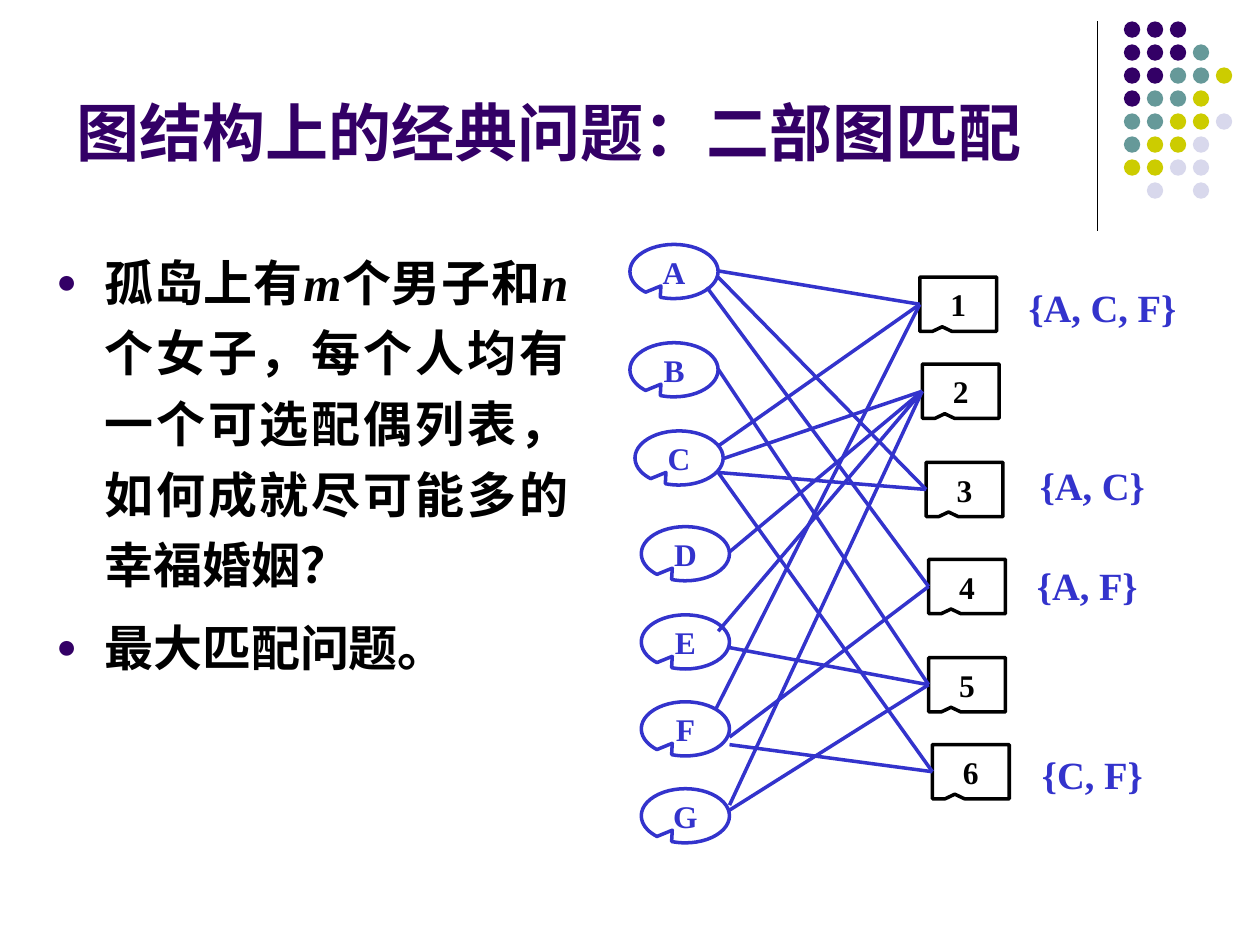
import pptx
import pptx.dml.color
import pptx.enum.shapes
import pptx.enum.text
import pptx.oxml.ns
import pptx.util
from lxml import etree
from pptx.util import Inches

PURPLE = pptx.dml.color.RGBColor(0x33, 0x00, 0x66)
TEAL = pptx.dml.color.RGBColor(0x66, 0x99, 0x99)
LIME = pptx.dml.color.RGBColor(0xCC, 0xCC, 0x00)
LAVENDER = pptx.dml.color.RGBColor(0xD8, 0xD8, 0xEC)
BLUE = pptx.dml.color.RGBColor(0x33, 0x33, 0xCC)
BLACK = pptx.dml.color.RGBColor(0x00, 0x00, 0x00)
WHITE = pptx.dml.color.RGBColor(0xFF, 0xFF, 0xFF)

SHAPES = pptx.enum.shapes.MSO_SHAPE
ALIGN = pptx.enum.text.PP_ALIGN
ANCHOR = pptx.enum.text.MSO_ANCHOR
FONT = "Times New Roman"

DOT_COLORS = {"P": PURPLE, "T": TEAL, "L": LIME, "V": LAVENDER}
DOT_ROWS = ["PPP", "PPPT", "PPTTL", "PTTL", "TTLLV", "TLLV", "LLVV", " V V"]
DOT_SIZE = 0.13
DOT_PITCH = 0.73 / 4

MEN = {
    "A": (5, 1.94), "B": (5, 2.72), "C": (5.04, 3.42), "D": (5.09, 4.18),
    "E": (5.09, 4.88), "F": (5.09, 5.57), "G": (5.09, 6.26),
}
WOMEN = {
    "1": (7.3, 2.2), "2": (7.32, 2.89), "3": (7.35, 3.67),
    "4": (7.37, 4.44), "5": (7.37, 5.22), "6": (7.4, 5.91),
}
NODE_HEIGHT = 0.43
EDGE_STARTS = {
    "1": [(5.7, 2.15), (5.7, 3.54), (5.68, 5.63)],
    "2": [(5.74, 3.64), (5.79, 4.38), (5.7, 5.01), (5.79, 6.39)],
    "3": [(5.7, 2.2), (5.7, 3.75)],
    "4": [(5.61, 2.28), (5.79, 5.85)],
    "5": [(5.7, 2.93), (5.79, 5.14), (5.79, 6.43)],
    "6": [(5.7, 3.75), (5.79, 5.91)],
}
CHOICES = [
    ("{A, C, F}", 2.18, 1.5), ("{A, C}", 3.59, 1.34),
    ("{A, F}", 4.38, 1.26), ("{C, F}", 5.88, 1.34),
]
BODY = [
    [("孤岛上有", False), ("m", True), ("个男子和", False), ("n", True),
     ("个女子，每个人均有一个可选配偶列表，如何成就尽可能多的幸福婚姻？", False)],
    [("最大匹配问题。", False)],
]


def style_font(font, size, color):
    """Apply the bold slide font with a size and colour."""
    font.name = FONT
    font.size = pptx.util.Pt(size)
    font.bold = True
    font.color.rgb = color


def add_shape(slide, kind, box, fill=None, line=None):
    """Add a flat preset shape with optional fill and outline."""
    shape = slide.shapes.add_shape(kind, *map(Inches, box))
    shape.shadow.inherit = False
    if fill is None:
        shape.fill.background()
    else:
        shape.fill.solid()
        shape.fill.fore_color.rgb = fill
    if line is None:
        shape.line.fill.background()
    else:
        shape.line.color.rgb = line
        shape.line.width = pptx.util.Pt(2)
    return shape


def add_callout(slide, kind, box, tail, text, size, color, fill=None, line=None):
    """Add a callout with centred text and a tail offset."""
    shape = add_shape(slide, kind, box, fill, line)
    shape.adjustments[0], shape.adjustments[1] = tail
    frame = shape.text_frame
    frame.word_wrap = True
    frame.vertical_anchor = ANCHOR.MIDDLE
    paragraph = frame.paragraphs[0]
    paragraph.text = text
    paragraph.alignment = ALIGN.CENTER
    style_font(paragraph.font, size, color)


def add_line(slide, start, end, color, width):
    """Add a straight connector without a shadow."""
    line = slide.shapes.add_connector(
        pptx.enum.shapes.MSO_CONNECTOR.STRAIGHT, *map(Inches, (*start, *end)))
    line.line.color.rgb = color
    line.line.width = pptx.util.Pt(width)
    etree.SubElement(line._element.spPr, pptx.oxml.ns.qn("a:effectLst"))


def add_dots(slide):
    """Add the corner pattern of coloured dots."""
    for row, codes in enumerate(DOT_ROWS):
        for column, code in enumerate(codes):
            if code in DOT_COLORS:
                box = (8.92 + column * DOT_PITCH, 0.17 + row * DOT_PITCH,
                       DOT_SIZE, DOT_SIZE)
                add_shape(slide, SHAPES.OVAL, box, DOT_COLORS[code])


def add_text_box(slide, box, anchor):
    """Add a wrapping text box and return its text frame."""
    frame = slide.shapes.add_textbox(*map(Inches, box)).text_frame
    frame.word_wrap = True
    frame.vertical_anchor = anchor
    return frame


def add_title(slide):
    """Add the slide title."""
    frame = add_text_box(slide, (0.51, 0.44, 8.25, 0.95), ANCHOR.BOTTOM)
    paragraph = frame.paragraphs[0]
    paragraph.text = "图结构上的经典问题：二部图匹配"
    style_font(paragraph.font, 36, PURPLE)


def add_bullet(paragraph):
    """Give a paragraph a hanging round bullet."""
    qn = pptx.oxml.ns.qn
    properties = paragraph._p.get_or_add_pPr()
    properties.set("marL", str(Inches(0.38)))
    properties.set("indent", str(Inches(-0.38)))
    color = etree.SubElement(properties, qn("a:buClr"))
    etree.SubElement(color, qn("a:srgbClr"), val=str(PURPLE))
    etree.SubElement(properties, qn("a:buSzPct"), val="70000")
    etree.SubElement(properties, qn("a:buFont"), typeface=FONT)
    etree.SubElement(properties, qn("a:buChar"), char="●")


def add_body(slide):
    """Add the bulleted problem statement."""
    frame = add_text_box(slide, (0.35, 1.86, 4.26, 3.92), ANCHOR.TOP)
    for index, runs in enumerate(BODY):
        paragraph = frame.add_paragraph() if index else frame.paragraphs[0]
        paragraph.alignment = ALIGN.JUSTIFY
        paragraph.line_spacing = 1.2
        paragraph.space_before = pptx.util.Pt(7)
        add_bullet(paragraph)
        style_font(paragraph.font, 28, BLACK)
        for text, italic in runs:
            run = paragraph.add_run()
            run.text = text
            run.font.italic = italic


def add_graph(slide):
    """Add the bipartite graph with its nodes, edges and choice lists."""
    for name, corner in MEN.items():
        add_callout(slide, SHAPES.OVAL_CALLOUT, (*corner, 0.7, NODE_HEIGHT),
                    (-0.149, 0.267), name, 18, BLUE, line=BLUE)
    for name, corner in WOMEN.items():
        add_callout(slide, SHAPES.RECTANGULAR_CALLOUT, (*corner, 0.61, NODE_HEIGHT),
                    (-0.208, 0.416), name, 18, BLACK, WHITE, BLACK)
    for name, starts in EDGE_STARTS.items():
        left, top = WOMEN[name]
        for start in starts:
            add_line(slide, start, (left, top + NODE_HEIGHT / 2), BLUE, 2)
    for text, top, width in CHOICES:
        add_callout(slide, SHAPES.ROUNDED_RECTANGULAR_CALLOUT,
                    (8, top, width, 0.52), (-0.19, 0.416), text, 22, BLUE)


def main():
    """Build and save the bipartite matching slide."""
    presentation = pptx.Presentation()
    presentation.slide_width = Inches(10)
    presentation.slide_height = Inches(7.5)
    slide = presentation.slides.add_slide(presentation.slide_layouts[6])
    add_line(slide, (8.71, 0.17), (8.71, 1.83), BLACK, 0.75)
    add_dots(slide)
    add_title(slide)
    add_body(slide)
    add_graph(slide)
    presentation.save("out.pptx")


if __name__ == "__main__":
    main()
